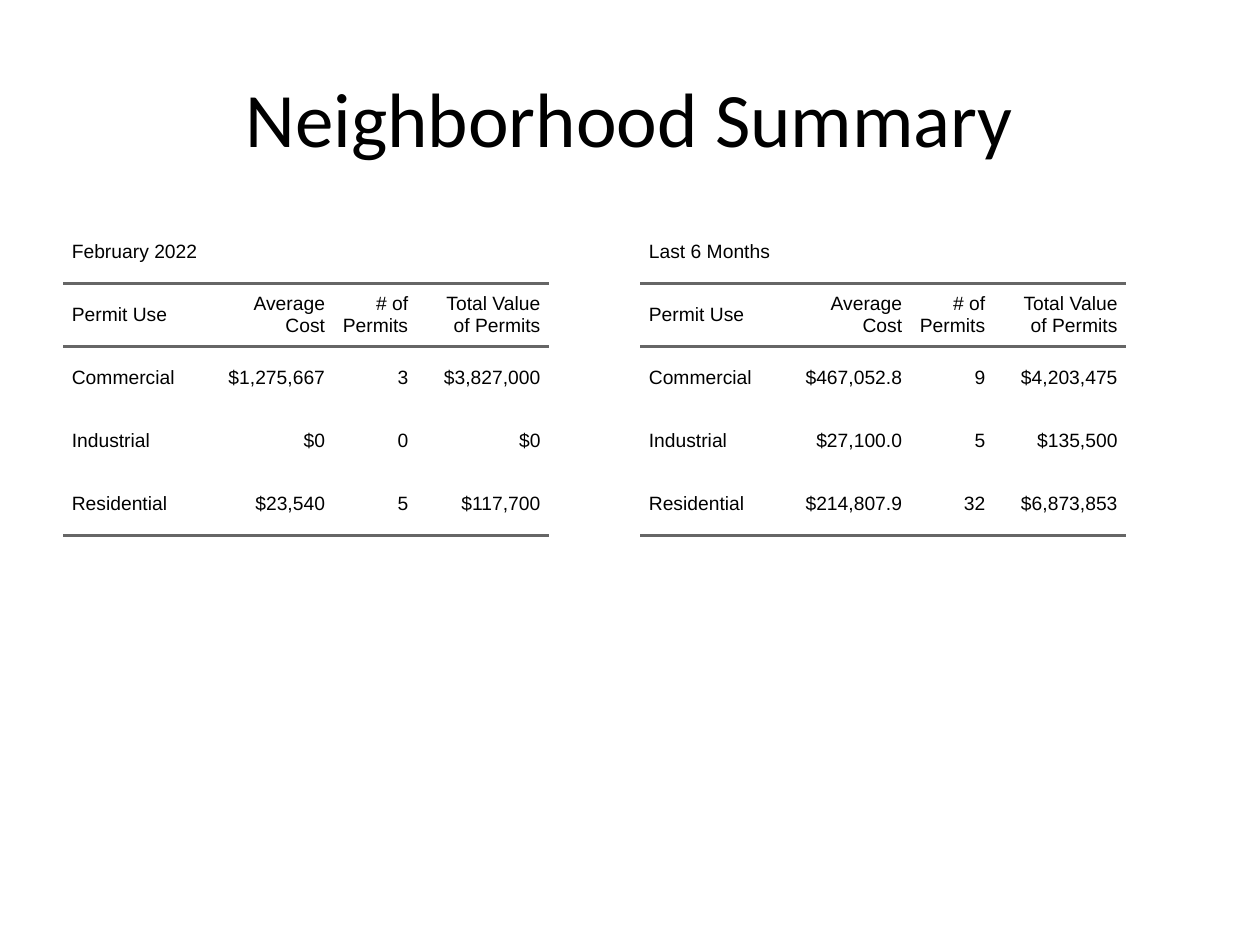
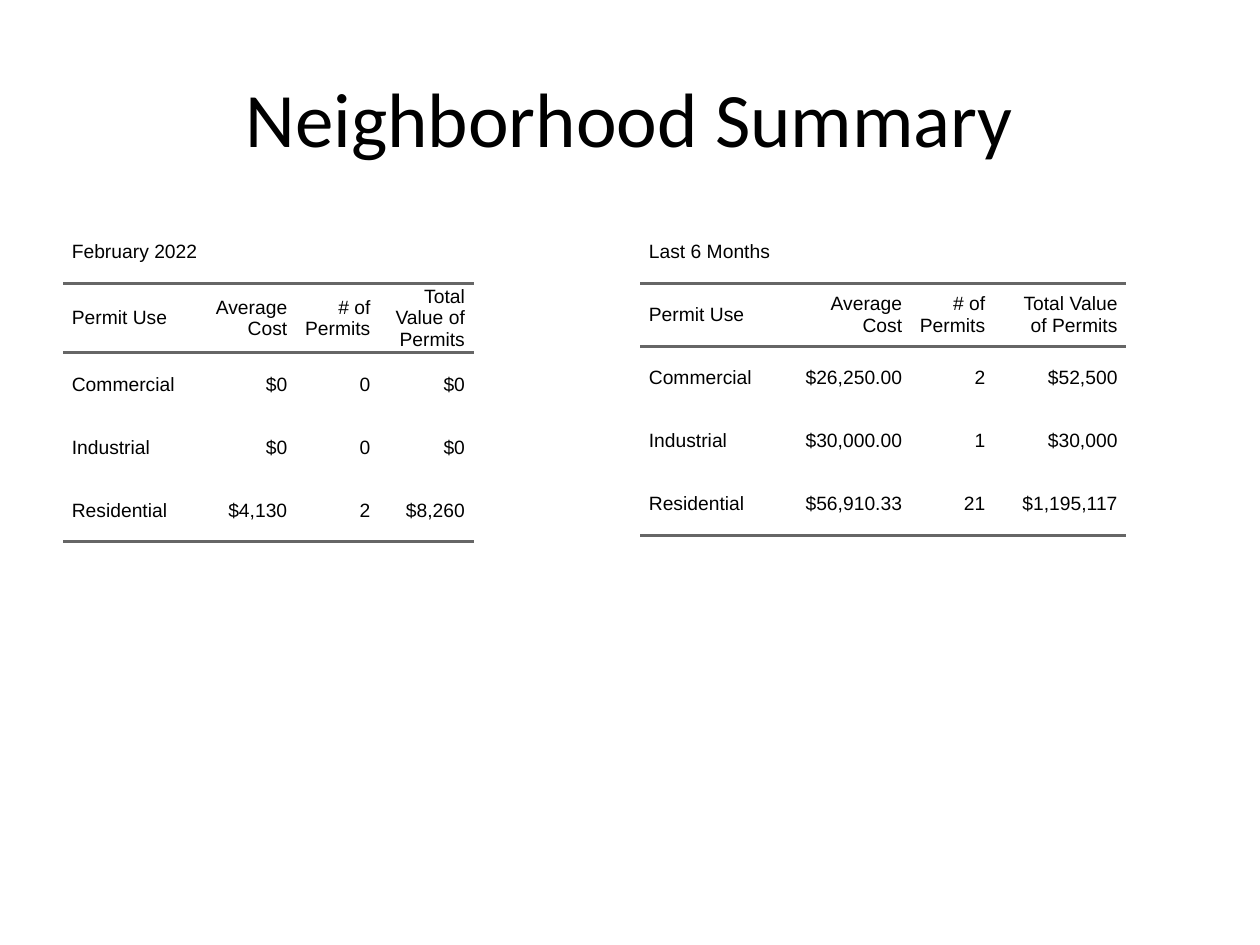
import pptx
import pptx.dml.color
import pptx.enum.text
import pptx.oxml.ns
import pptx.util
from lxml import etree

Inches = pptx.util.Inches
Align = pptx.enum.text.PP_ALIGN
Anchor = pptx.enum.text.MSO_ANCHOR
qn = pptx.oxml.ns.qn

COLORS = {"text": "000000", "rule": "666666"}
NO_STYLE_NO_GRID = "{2D5ABB26-0587-4C30-8999-92F81FD0307C}"
HEADERS = ("Permit Use", "Average Cost", "# of Permits", "Total Value of Permits")
USES = ("Commercial", "Industrial", "Residential")
WIDE, NARROW = 1.05, 0.75
TABLE_LEFTS = (0.5, 5.08)

SUMMARIES = (
    (
        ("February 2022", WIDE, (
            ("$1,275,667", "3", "$3,827,000"),
            ("$0", "0", "$0"),
            ("$23,540", "5", "$117,700"),
        )),
        ("Last 6 Months", WIDE, (
            ("$467,052.8", "9", "$4,203,475"),
            ("$27,100.0", "5", "$135,500"),
            ("$214,807.9", "32", "$6,873,853"),
        )),
    ),
    (
        ("February 2022", NARROW, (
            ("$0", "0", "$0"),
            ("$0", "0", "$0"),
            ("$4,130", "2", "$8,260"),
        )),
        ("Last 6 Months", WIDE, (
            ("$26,250.00", "2", "$52,500"),
            ("$30,000.00", "1", "$30,000"),
            ("$56,910.33", "21", "$1,195,117"),
        )),
    ),
)


class SummaryDeck:
    """Holds the style and the current slide of the permit summary."""

    def __init__(self):
        self.presentation = pptx.Presentation()
        self.presentation.slide_width = Inches(10)
        self.presentation.slide_height = Inches(7.5)
        self.slide = None

    def add_slide(self):
        self.slide = self.presentation.slides.add_slide(self.presentation.slide_layouts[6])

    def add_text(self, paragraph, text, font, size, align):
        paragraph.alignment = align
        run = paragraph.add_run()
        run.text = text
        run.font.name = font
        run.font.size = pptx.util.Pt(size)
        run.font.color.rgb = pptx.dml.color.RGBColor.from_string(COLORS["text"])

    def add_title(self, text):
        box = self.slide.shapes.add_textbox(Inches(0.5), Inches(0.3), Inches(9), Inches(1.25))
        frame = box.text_frame
        frame.word_wrap = True
        frame.vertical_anchor = Anchor.MIDDLE
        self.add_text(frame.paragraphs[0], text, "Calibri", 44, Align.CENTER)

    def add_border(self, cell, side):
        properties = cell._tc.get_or_add_tcPr()
        line = etree.SubElement(properties, qn(f"a:ln{side}"), w=str(pptx.util.Pt(2)))
        fill = etree.SubElement(line, qn("a:solidFill"))
        etree.SubElement(fill, qn("a:srgbClr"), val=COLORS["rule"])

    def fill_cell(self, cell, text, align, borders):
        cell.margin_left = cell.margin_right = Inches(0.07)
        cell.margin_top = cell.margin_bottom = 0
        cell.vertical_anchor = Anchor.MIDDLE
        for side in borders:
            self.add_border(cell, side)
        cell.fill.background()
        if text:
            self.add_text(cell.text_frame.paragraphs[0], text, "Arial", 11, align)

    def add_table(self, left, period, value_width, values):
        rows = [(period, "", "", ""), HEADERS]
        rows += [(use, *figures) for use, figures in zip(USES, values)]
        widths = (1.1, value_width, 0.66, value_width)
        row_height = 0.5
        table = self.slide.shapes.add_table(
            len(rows), len(widths), Inches(left), Inches(1.75),
            Inches(sum(widths)), Inches(row_height * len(rows))).table
        table.first_row = table.horz_banding = False
        table._tbl.tblPr.find(qn("a:tableStyleId")).text = NO_STYLE_NO_GRID
        for column, width in zip(table.columns, widths):
            column.width = Inches(width)
        table.cell(0, 0).merge(table.cell(0, len(widths) - 1))
        borders = {1: "TB", len(rows) - 1: "B"}
        for row_index, row in enumerate(rows):
            table.rows[row_index].height = Inches(row_height)
            for column_index, text in enumerate(row):
                align = Align.RIGHT if column_index else Align.LEFT
                self.fill_cell(table.cell(row_index, column_index), text, align,
                               borders.get(row_index, ""))


def main():
    deck = SummaryDeck()
    for summary in SUMMARIES:
        deck.add_slide()
        for left, (period, value_width, values) in zip(TABLE_LEFTS, summary):
            deck.add_table(left, period, value_width, values)
        deck.add_title("Neighborhood Summary")
    deck.presentation.save("out.pptx")


if __name__ == "__main__":
    main()
